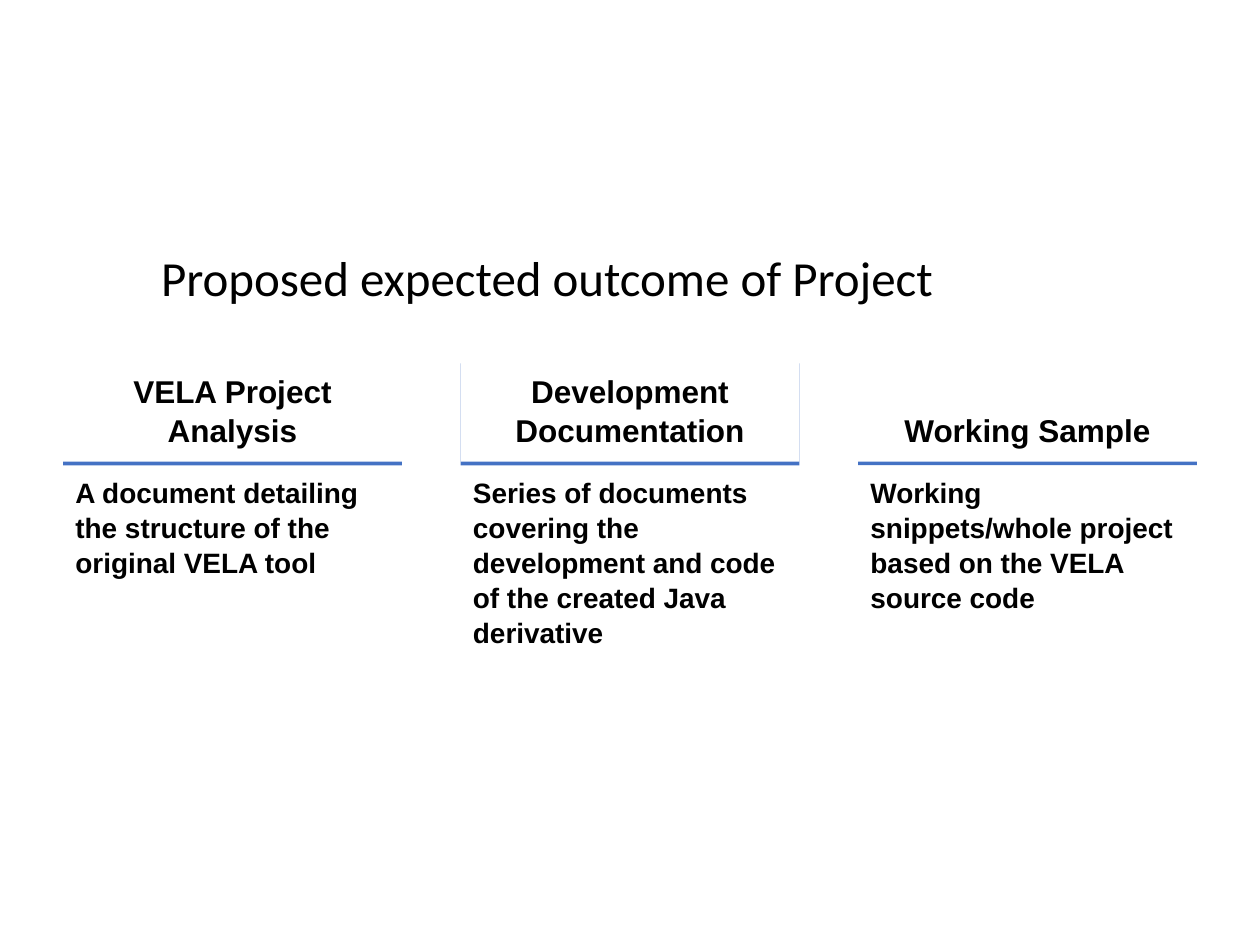
import pptx
import pptx.util
import pptx.dml.color
import pptx.enum.shapes
import pptx.enum.text
import pptx.oxml
import pptx.oxml.ns

Inches = pptx.util.Inches
Align = pptx.enum.text.PP_ALIGN
Anchor = pptx.enum.text.MSO_ANCHOR


def color(value):
    return pptx.dml.color.RGBColor.from_string(value)


def write(box, text, margin, anchor, font, paragraph):
    frame = box.text_frame
    frame_format = dict(word_wrap=True, vertical_anchor=anchor,
                        margin_left=Inches(0.1), margin_right=Inches(0.1),
                        margin_top=margin, margin_bottom=margin)
    para = frame.paragraphs[0]
    span = para.add_run()
    span.text = text
    span.font.color.rgb = color("000000")
    for target, values in ((frame, frame_format), (para, paragraph), (span.font, font)):
        for name, value in values.items():
            setattr(target, name, value)


deck = pptx.Presentation()
deck.slide_width, deck.slide_height = Inches(10), Inches(7.5)
page = deck.slides.add_slide(deck.slide_layouts[6])

# Column grid
LEFT, PITCH, WIDTH = Inches(0.5), Inches(3.155), Inches(2.69)
RULE = Inches(3.665)
BODY_HEIGHT = Inches(3.94)
ONE_LINE, TWO_LINES = Inches(0.5), Inches(0.81)

# Title
title = page.shapes.add_textbox(Inches(1.18), Inches(1.97), Inches(8.52), Inches(1.19))
write(title, "Proposed expected outcome of Project", Inches(0.05), Anchor.TOP,
      dict(name="Calibri", size=pptx.util.Pt(28)),
      dict(alignment=Align.LEFT, line_spacing=0.9))

# Blue rule under each heading: a hard shadow dropped 2 pt straight down
rule_xml = (
    f'<a:effectLst {pptx.oxml.ns.nsdecls("a")}>'
    f'<a:outerShdw dist="{pptx.util.Pt(2)}" dir="5400000" algn="t" rotWithShape="0">'
    '<a:srgbClr val="4472C4"/></a:outerShdw></a:effectLst>'
)

# Outcomes: heading, its height, description
outcomes = [
    ("VELA Project Analysis", TWO_LINES,
     "A document detailing the structure of the original VELA tool"),
    ("Development Documentation", TWO_LINES,
     "Series of documents covering the development and code of the created Java derivative"),
    ("Working Sample", ONE_LINE,
     "Working snippets/whole project based on the VELA source code"),
]

for column, (heading, height, description) in enumerate(outcomes):
    left = LEFT + column * PITCH

    head = page.shapes.add_shape(pptx.enum.shapes.MSO_SHAPE.RECTANGLE,
                                 left, RULE - height, WIDTH, height)
    head.fill.solid()
    head.fill.fore_color.rgb = color("FFFFFF")
    head.line.fill.background()
    head._element.spPr.append(pptx.oxml.parse_xml(rule_xml))
    write(head, heading, Inches(0.1), Anchor.BOTTOM,
          dict(name="Arial", size=pptx.util.Pt(18), bold=True),
          dict(alignment=Align.CENTER, line_spacing=1.04))

    body = page.shapes.add_textbox(left, RULE, WIDTH, BODY_HEIGHT)
    write(body, description, Inches(0.1), Anchor.TOP,
          dict(name="Arial", size=pptx.util.Pt(16), bold=True),
          dict(alignment=Align.LEFT, line_spacing=1.04))

deck.save("out.pptx")
